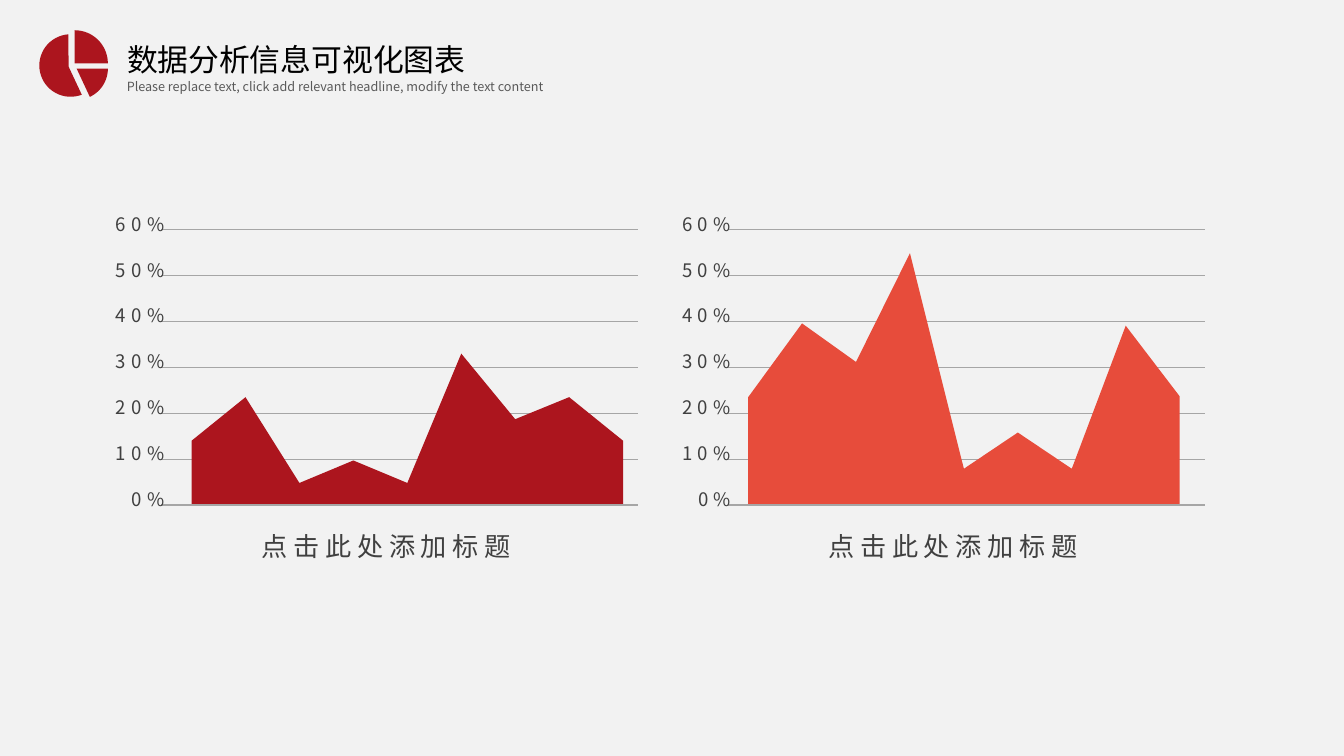
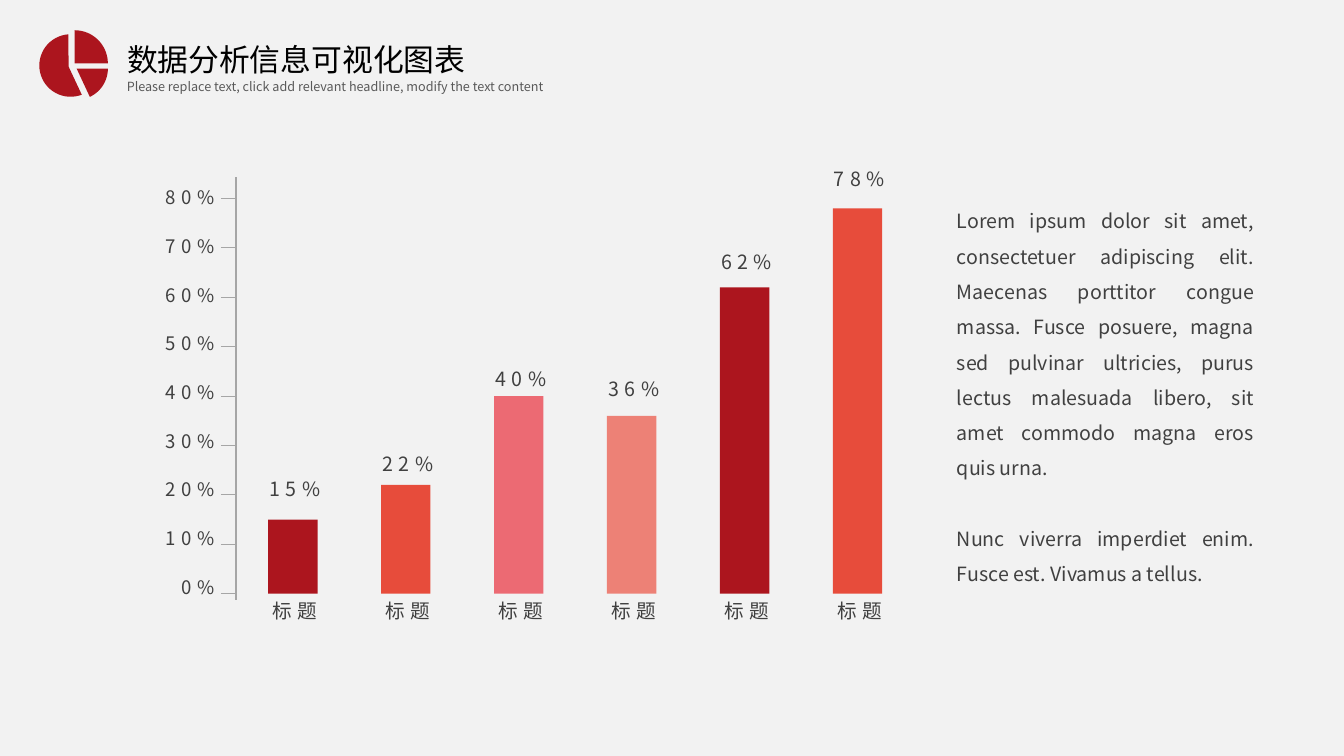
"""Builds two data slides: a pair of area charts and a column chart with text."""
from math import cos, radians, sin

from lxml import etree
from pptx import Presentation
from pptx.dml.color import RGBColor
from pptx.enum.shapes import MSO_CONNECTOR, MSO_SHAPE
from pptx.enum.text import MSO_ANCHOR, MSO_AUTO_SIZE, PP_ALIGN
from pptx.oxml.ns import qn
from pptx.util import Inches, Pt

LEFT, CENTER, RIGHT, JUSTIFY = PP_ALIGN.LEFT, PP_ALIGN.CENTER, PP_ALIGN.RIGHT, PP_ALIGN.JUSTIFY
TOP = MSO_ANCHOR.TOP
FIXED, GROW = MSO_AUTO_SIZE.NONE, MSO_AUTO_SIZE.SHAPE_TO_FIT_TEXT
RECTANGLE, STRAIGHT = MSO_SHAPE.RECTANGLE, MSO_CONNECTOR.STRAIGHT

BACKGROUND = RGBColor(0xF2, 0xF2, 0xF2)
BLACK = RGBColor(0x00, 0x00, 0x00)
DARK_GREY = RGBColor(0x40, 0x40, 0x40)
MID_GREY = RGBColor(0x59, 0x59, 0x59)
LINE_GREY = RGBColor(0xA6, 0xA6, 0xA6)
CRIMSON = RGBColor(0xAC, 0x15, 0x1E)
ORANGE = RGBColor(0xE7, 0x4C, 0x3B)
PINK = RGBColor(0xEC, 0x6A, 0x73)
SALMON = RGBColor(0xED, 0x81, 0x76)
FONT = "Noto Sans CJK SC"

TITLE = "数据分析信息可视化图表"
SUBTITLE = "Please replace text, click add relevant headline, modify the text content"
CAPTION = "点击此处添加标题"
CATEGORY = "标题"
PARAGRAPHS = [
    "Lorem ipsum dolor sit amet, consectetuer adipiscing elit. Maecenas porttitor congue massa. "
    "Fusce posuere, magna sed pulvinar ultricies, purus lectus malesuada libero, sit amet commodo "
    "magna eros quis urna.",
    "Nunc viverra imperdiet enim. Fusce est. Vivamus a tellus.",
]

# (apex, arc centre, radius, start angle, end angle)
PIE_SLICES = [
    ((0.76, 0.68), (0.76, 0.68), 0.31, 0, 65),
    ((0.68, 0.66), (0.70, 0.65), 0.31, 69, 266),
    ((0.74, 0.63), (0.74, 0.63), 0.33, 270, 360),
]
# (grid left, area left, colour, percentages)
AREA_CHARTS = [
    (1.60, 1.90, CRIMSON, [14, 23.5, 4.8, 9.7, 4.8, 33, 18.7, 23.5, 14]),
    (7.22, 7.42, ORANGE, [23.5, 39.6, 31.2, 54.9, 7.9, 15.8, 7.9, 39.1, 23.7]),
]
# (percentage, colour, lift of the value label above the column)
COLUMNS = [
    (15, CRIMSON, 0.47),
    (22, ORANGE, 0.38),
    (40, PINK, 0.34),
    (36, SALMON, 0.44),
    (62, CRIMSON, 0.42),
    (78, ORANGE, 0.46),
]

AREA_BASE, AREA_ROW, AREA_WIDTH, GRID_WIDTH = 5.01, 0.455, 4.28, 4.73
COLUMN_BASE, COLUMN_ROW, LABEL_ROW = 5.89, 0.49, 3.86 / 8
COLUMN_LEFT, COLUMN_PITCH, COLUMN_WIDTH = 2.66, 1.12, 0.49
AXIS_X, TICK_LENGTH = 2.34, 0.15


def format_paragraph(paragraph, size, color, align=LEFT, spacing=0):
    paragraph.alignment = align
    font = paragraph.font
    font.size = Pt(size)
    font.color.rgb = color
    font.name = FONT
    properties = paragraph._p.pPr.find(qn("a:defRPr"))
    etree.SubElement(properties, qn("a:ea")).set("typeface", FONT)
    if spacing:
        properties.set("spc", str(spacing * 100))


def place(shape, left, top, width, height):
    shape.left, shape.top = Inches(left), Inches(top)
    shape.width, shape.height = Inches(width), Inches(height)


def add_text(slide, text, box, size, color=DARK_GREY, align=LEFT, spacing=4, wrap=False):
    shape = slide.shapes.add_textbox(*map(Inches, box))
    frame = shape.text_frame
    frame.word_wrap = wrap
    frame.auto_size = GROW
    frame.text = text
    format_paragraph(frame.paragraphs[0], size, color, align, spacing)
    return shape


def add_line(slide, start, end, width=0.75):
    line = slide.shapes.add_connector(STRAIGHT, *map(Inches, (*start, *end)))
    line.line.color.rgb = LINE_GREY
    line.line.width = Pt(width)
    etree.SubElement(line.element.spPr, qn("a:effectLst"))


def paint(shape, color):
    shape.shadow.inherit = False
    shape.fill.solid()
    shape.fill.fore_color.rgb = color
    shape.line.fill.background()


def add_outline(slide, contours, color):
    contours = [[(Inches(x), Inches(y)) for x, y in points] for points in contours]
    builder = slide.shapes.build_freeform(*contours[0][0], scale=1.0)
    for index, points in enumerate(contours):
        if index:
            builder.move_to(*points[0])
        builder.add_line_segments(points[1:], close=True)
    shape = builder.convert_to_shape()
    paint(shape, color)
    return shape


def slice_points(apex, center, radius, start, end, steps=32):
    angles = [radians(start + (end - start) * step / steps) for step in range(steps + 1)]
    return [apex] + [(center[0] + radius * cos(a), center[1] + radius * sin(a)) for a in angles]


def decorate_master(master, slide):
    master.background.fill.solid()
    master.background.fill.fore_color.rgb = BACKGROUND
    icon = add_outline(slide, [slice_points(*part) for part in PIE_SLICES], CRIMSON)
    subtitle = add_text(slide, SUBTITLE, (1.16, 0.73, 5.04, 0.25), 9, MID_GREY, spacing=0, wrap=True)
    for number, shape in enumerate((icon, subtitle), start=101):
        shape.element.nvSpPr.cNvPr.set("id", str(number))
        master.shapes.element.append(shape.element)


def add_slide(presentation, layout_index):
    slide = presentation.slides.add_slide(presentation.slide_layouts[layout_index])
    title = slide.shapes.title
    place(title, 1.16, 0.35, 4.26, 0.47)
    title.text_frame.text = TITLE
    title.text_frame.auto_size = FIXED
    title.text_frame.vertical_anchor = TOP
    format_paragraph(title.text_frame.paragraphs[0], 22, BLACK)
    return slide


def add_axis_label(slide, level, right, top):
    text = f"{level * 10}%"
    width = 0.27 + 0.16 * len(text)
    add_text(slide, text, (right - width, top, width, 0.33), 13.3, align=RIGHT)


def add_area_chart(slide, grid_left, area_left, color, values):
    def add_gridline(level):
        y = AREA_BASE - level * AREA_ROW
        add_line(slide, (grid_left, y), (grid_left + GRID_WIDTH, y))
        add_axis_label(slide, level, grid_left + 0.13, y - 0.22)

    for level in range(1, 7):
        add_gridline(level)
    step = AREA_WIDTH / (len(values) - 1)
    ridge = [(area_left + index * step, AREA_BASE - value / 10 * AREA_ROW)
             for index, value in enumerate(values)]
    base = [(area_left + AREA_WIDTH, AREA_BASE), (area_left, AREA_BASE)]
    add_outline(slide, [ridge + base], color)
    add_gridline(0)
    add_text(slide, CAPTION, (grid_left + 0.9, 5.21, 2.74, 0.42), 18.7)


def add_column_chart(slide):
    for index, (value, color, lift) in enumerate(COLUMNS):
        left = COLUMN_LEFT + index * COLUMN_PITCH
        height = value / 10 * COLUMN_ROW
        top = COLUMN_BASE - height
        column = slide.shapes.add_shape(
            RECTANGLE, *map(Inches, (left, top, COLUMN_WIDTH, height)))
        paint(column, color)
        center = left + COLUMN_WIDTH / 2 + 0.02
        for text, width, label_top in ((CATEGORY, 0.71, COLUMN_BASE), (f"{value}%", 0.76, top - lift)):
            add_text(slide, text, (center - width / 2, label_top, width, 0.34), 14, align=CENTER)
    add_line(slide, (AXIS_X, 1.76), (AXIS_X, 5.95), 1.5)
    for level in range(9):
        y = COLUMN_BASE - level * COLUMN_ROW
        add_line(slide, (AXIS_X - TICK_LENGTH, y), (AXIS_X, y))
        add_axis_label(slide, level, 2.23, 5.66 - level * LABEL_ROW)


def fill_body(body):
    place(body, 9.39, 1.91, 3.15, 3.95)
    frame = body.text_frame
    frame.text = "\n".join(PARAGRAPHS)
    frame.auto_size = FIXED
    frame.vertical_anchor = TOP
    for index, paragraph in enumerate(frame.paragraphs):
        properties = paragraph._p.get_or_add_pPr()
        properties.set("marL", "0")
        properties.set("indent", "0")
        etree.SubElement(properties, qn("a:buNone"))
        paragraph.line_spacing = 1.5
        paragraph.space_before = Pt(25 if index else 0)
        format_paragraph(paragraph, 14, DARK_GREY, JUSTIFY)


def main():
    presentation = Presentation()
    presentation.slide_width, presentation.slide_height = Inches(13.33), Inches(7.5)

    area_slide = add_slide(presentation, 5)
    decorate_master(presentation.slide_master, area_slide)
    for chart in AREA_CHARTS:
        add_area_chart(area_slide, *chart)

    column_slide = add_slide(presentation, 1)
    add_column_chart(column_slide)
    fill_body(column_slide.placeholders[1])

    presentation.save("out.pptx")


if __name__ == "__main__":
    main()
